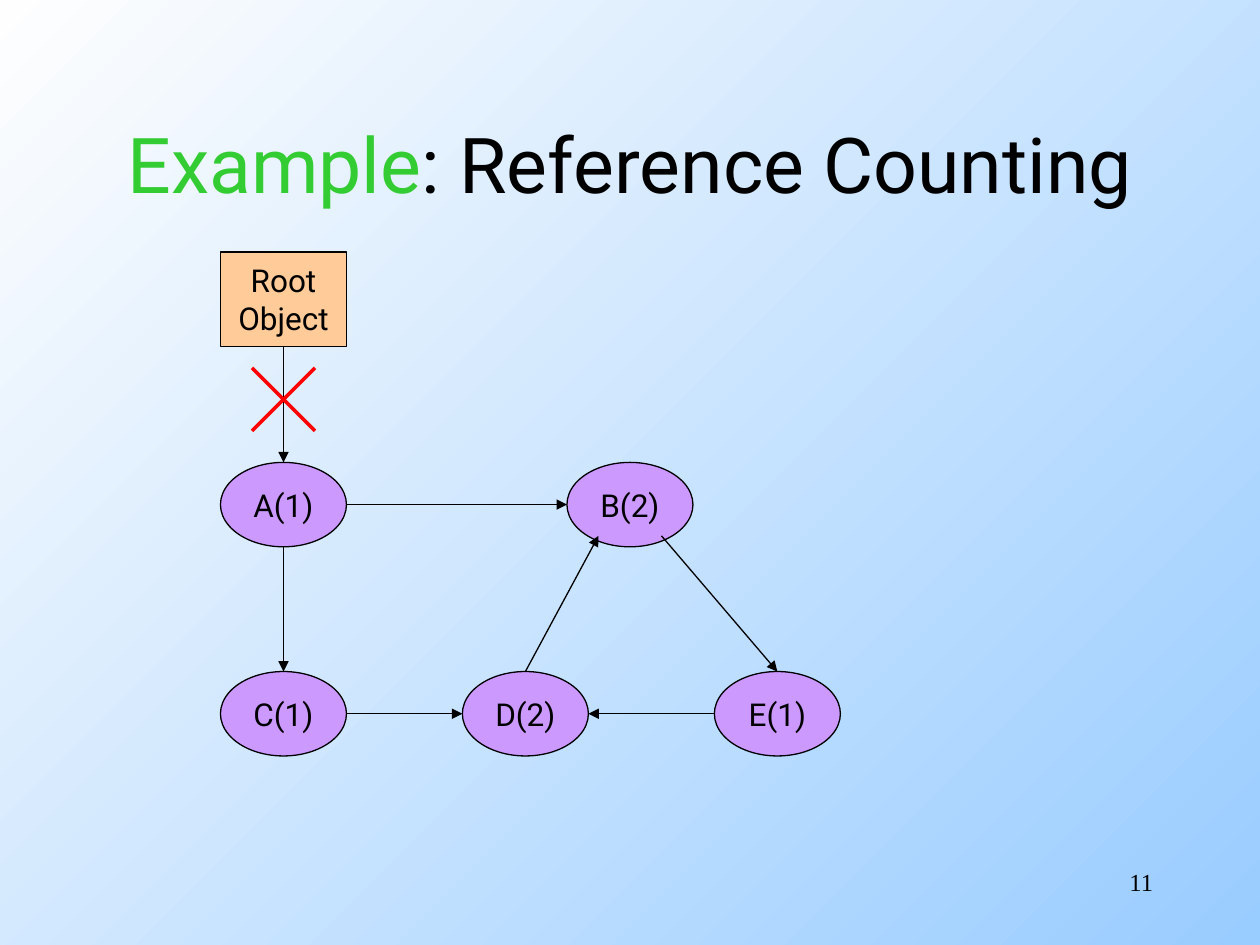
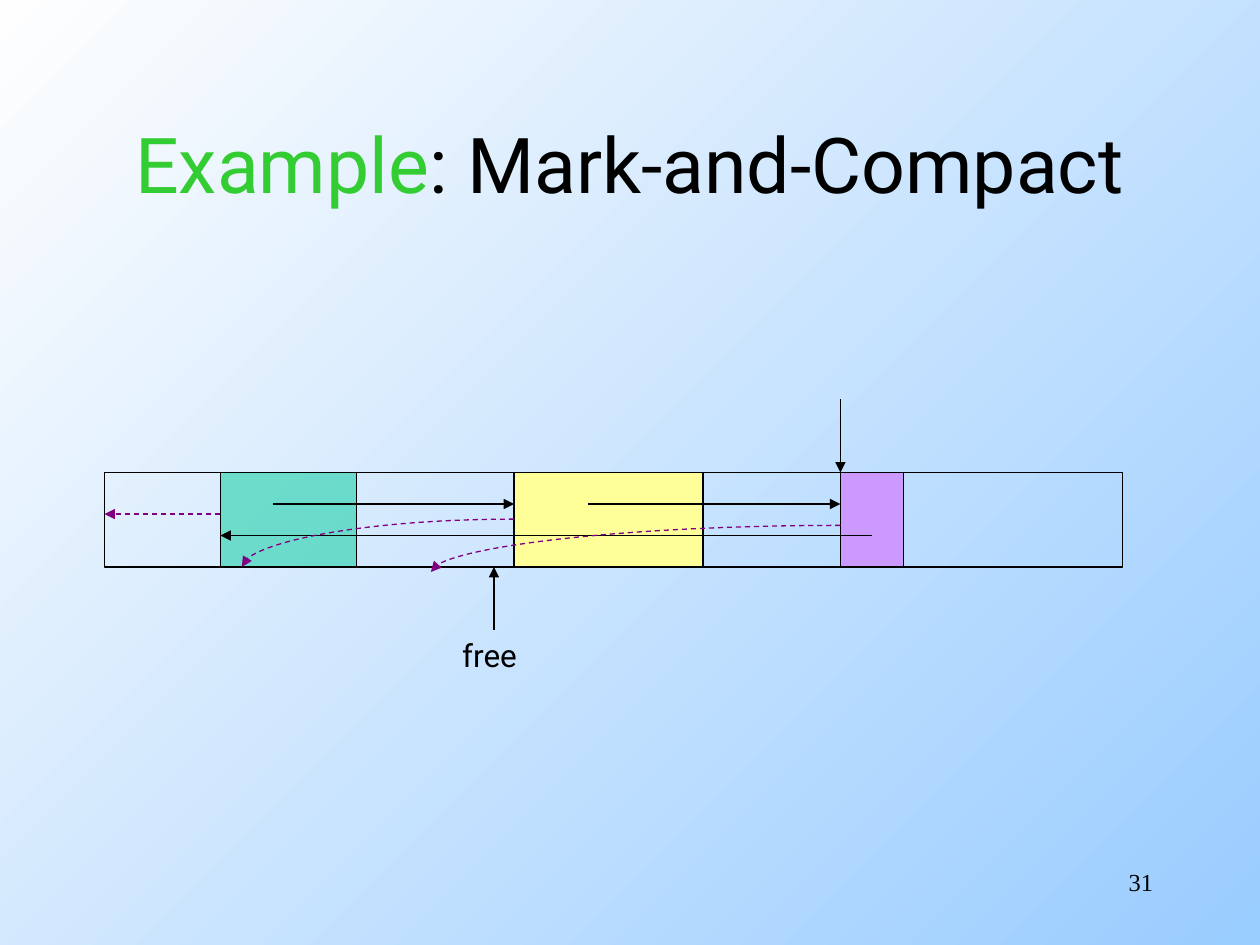
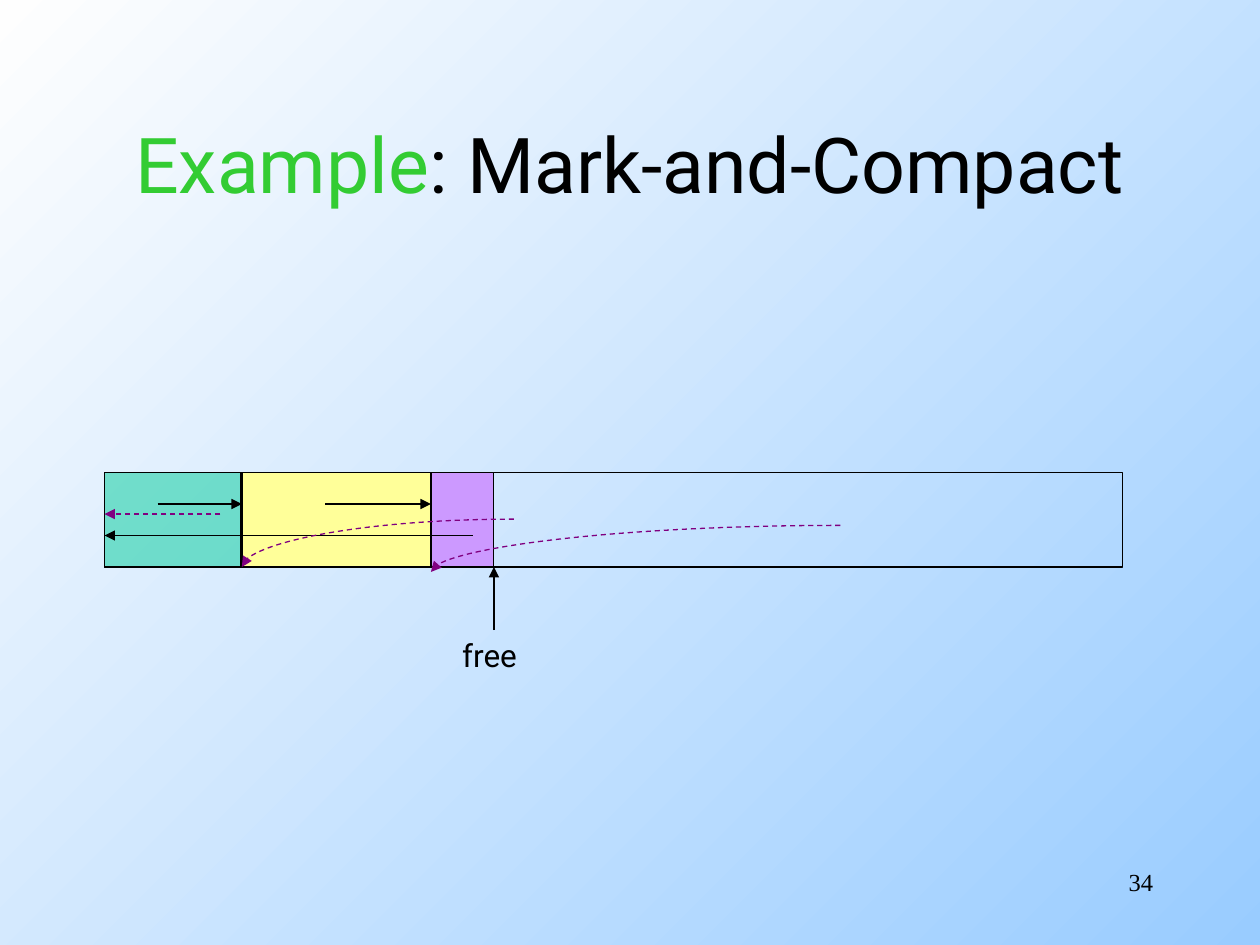
from pptx import Presentation
from pptx.dml.color import RGBColor
from pptx.enum.dml import MSO_LINE
from pptx.enum.shapes import MSO_CONNECTOR, MSO_SHAPE
from pptx.enum.text import MSO_ANCHOR, MSO_AUTO_SIZE, PP_ALIGN
from pptx.oxml.ns import qn
from pptx.util import Inches, Pt
from lxml import etree

RECT, OVAL = MSO_SHAPE.RECTANGLE, MSO_SHAPE.OVAL
LINE, CURVE = MSO_CONNECTOR.STRAIGHT, MSO_CONNECTOR.CURVE
DASH = MSO_LINE.DASH
LEFT, CENTER, RIGHT = PP_ALIGN.LEFT, PP_ALIGN.CENTER, PP_ALIGN.RIGHT
MIDDLE, TOP = MSO_ANCHOR.MIDDLE, MSO_ANCHOR.TOP
FIXED, GROW = MSO_AUTO_SIZE.NONE, MSO_AUTO_SIZE.SHAPE_TO_FIT_TEXT

BLACK = RGBColor(0x00, 0x00, 0x00)
WHITE = RGBColor(0xFE, 0xFE, 0xFE)
SKY = RGBColor(0x99, 0xCC, 0xFF)
LIME = RGBColor(0x33, 0xCC, 0x33)
PEACH = RGBColor(0xFF, 0xCC, 0x99)
LILAC = RGBColor(0xCC, 0x99, 0xFF)
TEAL = RGBColor(0x00, 0xCC, 0x99)
YELLOW = RGBColor(0xFF, 0xFF, 0x99)
PURPLE = RGBColor(0x80, 0x00, 0x80)
RED = RGBColor(0xFF, 0x00, 0x00)
SANS, SERIF = "Roboto", "Times New Roman"

ROOT = (1.75, 2, 1, 0.75)
NODE_W, NODE_H = 1, 0.67
ROW1, ROW2 = 3.67, 5.33
NODES = {
    "A": ("A(1)", 1.75, ROW1),
    "E": ("E(1)", 5.67, ROW2),
    "D": ("D(2)", 3.67, ROW2),
    "B": ("B(2)", 4.5, ROW1),
    "C": ("C(1)", 1.75, ROW2),
}
SPOTS = {
    "top": (0.5, 0), "left": (0, 0.5), "bottom": (0.5, 1), "right": (1, 0.5),
    "low left": (0.25, 0.87), "low right": (0.75, 0.87),
}
LINKS = [
    ("A", "bottom", "C", "top"),
    ("A", "right", "B", "left"),
    ("C", "right", "D", "left"),
    ("B", "low right", "E", "top"),
    ("E", "left", "D", "right"),
    ("D", "top", "B", "low left"),
]
CROSS = [((2.5, 2.92), (2, 3.42)), ((2, 2.92), (2.5, 3.42))]

HEAP = (0.83, 3.75, 8.08, 0.75)
BLOCKS = [(1.08, TEAL, 50), (1.5, YELLOW, 100), (0.5, LILAC, 100)]
MOVES = [
    ((1.75, 4.08), (0.83, 4.08)),
    ((6.67, 4.17), (3.42, 4.54)),
    ((4.08, 4.12), (1.92, 4.5)),
]
HEAPS = [
    {"page": 31, "lefts": [1.75, 4.08, 6.67], "starts": [2.17, 4.67, 6.92],
     "scan": 6.67},
    {"page": 34, "lefts": [0.83, 1.92, 3.42], "starts": [1.25, 2.58, 3.75],
     "scan": None},
]


def write(frame, paras, size=18, font=SANS, align=CENTER, anchor=MIDDLE,
          wrap=False, fit=FIXED):
    frame.word_wrap = wrap
    frame.auto_size = fit
    frame.vertical_anchor = anchor
    for i, runs in enumerate(paras):
        para = frame.add_paragraph() if i else frame.paragraphs[0]
        para.alignment = align
        for text, color in runs:
            run = para.add_run()
            run.text = text
            run.font.size = Pt(size)
            run.font.name = font
            run.font.color.rgb = color


def draw_box(tree, kind, rect, fill=None, lines=(), alpha=100):
    box = tree.add_shape(kind, *map(Inches, rect))
    box.shadow.inherit = False
    box.line.color.rgb = BLACK
    box.line.width = Pt(0.75)
    if fill is None:
        box.fill.background()
    else:
        box.fill.solid()
        box.fill.fore_color.rgb = fill
    if alpha < 100:
        tint = box.element.spPr.find(qn("a:solidFill"))[0]
        etree.SubElement(tint, qn("a:alpha")).set("val", str(alpha * 1000))
    if lines:
        write(box.text_frame, [[(text, BLACK)] for text in lines])
    return box


def draw_line(tree, start, end, color=BLACK, width=0.75, head=True, curve=False):
    line = tree.add_connector(CURVE if curve else LINE,
                              *map(Inches, (*start, *end)))
    line.line.color.rgb = color
    line.line.width = Pt(width)
    props = line.element.spPr
    if curve:
        line.line.dash_style = DASH
        props.find(qn("a:prstGeom")).set("prst", "curvedConnector2")
    if head:
        tail = etree.SubElement(props.find(qn("a:ln")), qn("a:tailEnd"))
        tail.set("type", "triangle")
    etree.SubElement(props, qn("a:effectLst"))
    return line


def draw_text(tree, rect, text, **style):
    box = tree.add_textbox(*map(Inches, rect))
    write(box.text_frame, [[(text, BLACK)]], anchor=TOP, **style)


def add_page(deck, topic, page):
    slide = deck.slides.add_slide(deck.slide_layouts[5])
    title = slide.shapes.title
    title.left, title.top, title.width, title.height = map(
        Inches, (0.75, 0.67, 8.5, 1.25))
    write(title.text_frame, [[("Example", LIME), (": " + topic, BLACK)]],
          size=44, wrap=True)
    draw_text(slide.shapes, (7.17, 6.83, 2.08, 0.5), str(page), size=14,
              font=SERIF, align=RIGHT, wrap=True)
    return slide.shapes


def find_spot(name, spot):
    _, left, top = NODES[name]
    across, down = SPOTS[spot]
    return left + across * NODE_W, top + down * NODE_H


def draw_graph(deck):
    tree = add_page(deck, "Reference Counting", 11)
    root = draw_box(tree, RECT, ROOT, PEACH, ["Root", "Object"])
    ovals = {
        name: draw_box(tree, OVAL, (left, top, NODE_W, NODE_H), LILAC, [text])
        for name, (text, left, top) in NODES.items()
    }
    first = draw_line(tree, (2.25, 2.75), find_spot("A", "top"))
    first.begin_connect(root, 2)
    first.end_connect(ovals["A"], 0)
    for a, out, b, into in LINKS:
        draw_line(tree, find_spot(a, out), find_spot(b, into))
    cross = tree.add_group_shape()
    for start, end in CROSS:
        draw_line(cross.shapes, start, end, RED, 2, head=False)


def draw_heap(deck, page, lefts, starts, scan):
    tree = add_page(deck, "Mark-and-Compact", page)
    free = tree.add_group_shape().shapes
    draw_line(free, (3.92, 5), (3.92, 4.5))
    draw_text(free, (3.57, 5, 0.67, 0.4), "free", align=LEFT, fit=GROW)
    draw_box(tree, RECT, HEAP)
    _, top, _, height = HEAP
    for left, (width, fill, alpha) in zip(lefts, BLOCKS):
        draw_box(tree, RECT, (left, top, width, height), fill, alpha=alpha)
    ends = lefts[1:] + lefts[:1]
    for x, end, y in zip(starts, ends, (4, 4, 4.25)):
        draw_line(tree, (x, y), (end, y))
    if scan:
        draw_line(tree, (scan, 3.17), (scan, top))
    for start, end in MOVES:
        draw_line(tree, start, end, PURPLE, curve=True)


def main():
    deck = Presentation()
    deck.slide_width, deck.slide_height = Inches(10), Inches(7.5)
    back = deck.slide_master.background.fill
    back.gradient()
    back.gradient_angle = 135
    for stop, color in zip(back.gradient_stops, (SKY, WHITE)):
        stop.color.rgb = color
    draw_graph(deck)
    for heap in HEAPS:
        draw_heap(deck, **heap)
    deck.save("out.pptx")


if __name__ == "__main__":
    main()
